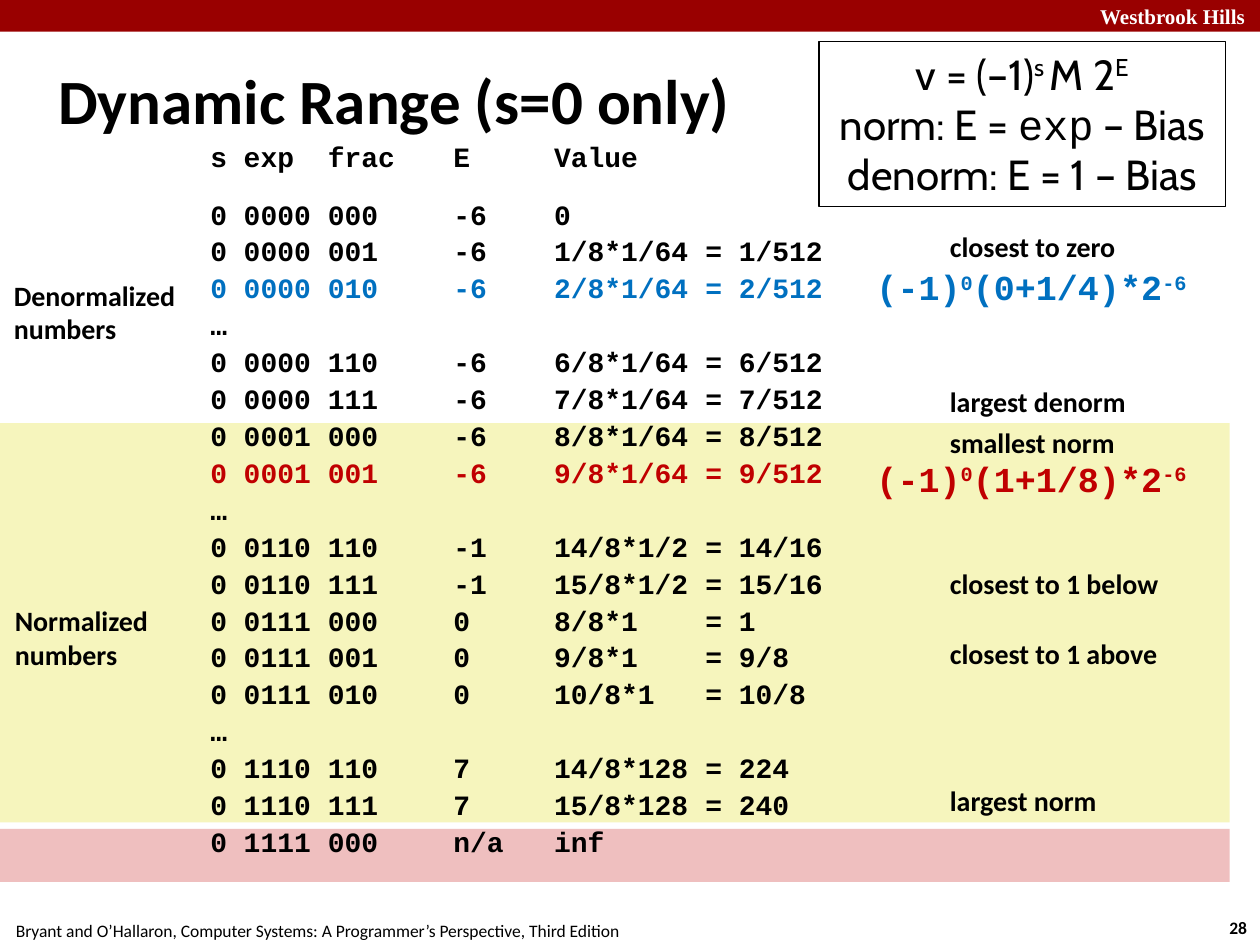
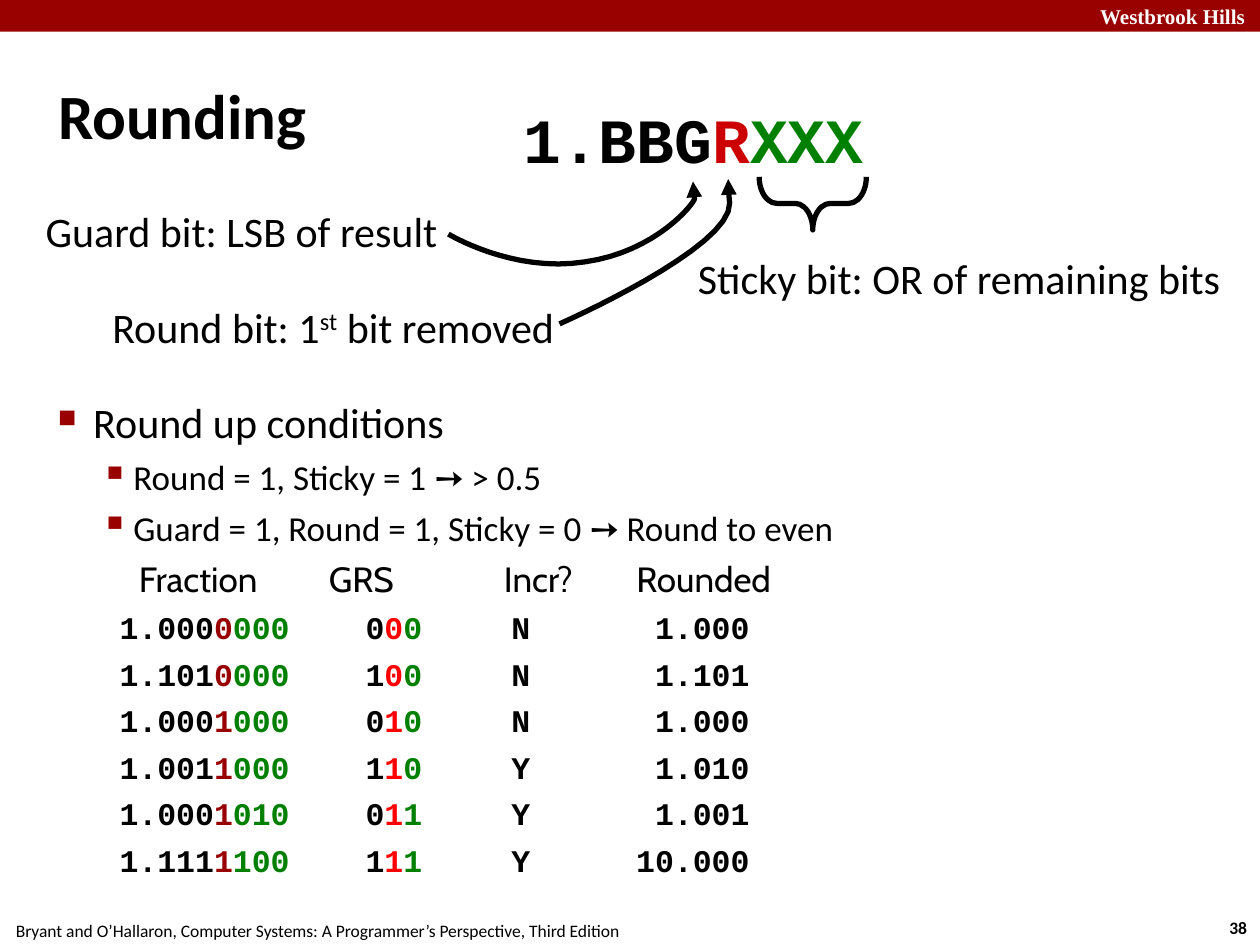
from lxml import etree
from pptx import Presentation
from pptx.dml.color import RGBColor
from pptx.enum.shapes import MSO_SHAPE as Preset
from pptx.enum.text import MSO_ANCHOR as Anchor, MSO_AUTO_SIZE as AutoSize, PP_ALIGN as Align
from pptx.oxml.ns import qn
from pptx.util import Cm, Pt

COLORS = {
    "black": "000000", "white": "FFFFFF", "band": "990000",
    "infinite": "EFBFBF", "normal": "F6F5BD",
    "blue": "0070C0", "crimson": "C00000",
    "round_title": "CC0000", "round_fraction": "980002",
    "round_bit": "FF0000", "sticky": "008000",
}
BODY, CODE, LIGHT, SERIF = "Calibri", "Courier New", "Cabin", "Times New Roman"
TIGHT = (0.1, 0.1)
FOOTER = ("Bryant and O’Hallaron, Computer Systems: "
          "A Programmer’s Perspective, Third Edition")

# Slide 1: exponent, fraction, E, product, result, color
FLOAT_ROWS = [
    ("0000", "000", "-6", "0", "", "black"),
    ("0000", "001", "-6", "1/8*1/64", "1/512", "black"),
    ("0000", "010", "-6", "2/8*1/64", "2/512", "blue"),
    None,
    ("0000", "110", "-6", "6/8*1/64", "6/512", "black"),
    ("0000", "111", "-6", "7/8*1/64", "7/512", "black"),
    ("0001", "000", "-6", "8/8*1/64", "8/512", "black"),
    ("0001", "001", "-6", "9/8*1/64", "9/512", "crimson"),
    None,
    ("0110", "110", "-1", "14/8*1/2", "14/16", "black"),
    ("0110", "111", "-1", "15/8*1/2", "15/16", "black"),
    ("0111", "000", "0", "8/8*1", "1", "black"),
    ("0111", "001", "0", "9/8*1", "9/8", "black"),
    ("0111", "010", "0", "10/8*1", "10/8", "black"),
    None,
    ("1110", "110", "7", "14/8*128", "224", "black"),
    ("1110", "111", "7", "15/8*128", "240", "black"),
    ("1111", "000", "n/a", "inf", "", "black"),
]
FLOAT_TABS = [(2.37, "l"), (4.9, "l"), (6.93, "l"), (9.98, "l")]
ROW_NOTES = [("closest to zero", 4.52), ("largest denorm", 7.65),
             ("smallest norm", 8.48), ("closest to 1 below", 11.33),
             ("closest to 1 above", 12.73), ("largest norm", 15.7)]

# Slide 2: fraction, guard-round-sticky bits, increment, rounded
ROUNDING_ROWS = [
    ("1.0000000", "000", "N", "1.000"),
    ("1.1010000", "100", "N", "1.101"),
    ("1.0001000", "010", "N", "1.000"),
    ("1.0011000", "110", "Y", "1.010"),
    ("1.0001010", "011", "Y", "1.001"),
    ("1.1111100", "111", "Y", "10.000"),
]
HEADING_TABS = [(1.63, "l"), (5.46, "l"), (8.99, "l"), (11.66, "l")]
ROUNDING_TABS = [(1.24, "l"), (6.2, "l"), (9.14, "l"), (13.94, "r")]


def rgb(name):
    return RGBColor.from_string(COLORS[name])


def style_run(run, font=BODY, size=16, color="black", bold=False, raised=0):
    run.font.name, run.font.size, run.font.bold = font, Pt(size), bold
    run.font.color.rgb = rgb(color)
    if raised:
        run._r.get_or_add_rPr().set("baseline", str(raised * 1000))


def write(paragraph, content, align=Align.LEFT, **style):
    """Content is a string, or a list of (text, style changes) pairs."""
    paragraph.alignment = align
    if isinstance(content, str):
        paragraph.text = content
        style_run(paragraph.runs[0], **style)
        return
    for text, changes in content:
        run = paragraph.add_run()
        run.text = text
        style_run(run, **{**style, **changes})


def next_paragraph(text_frame):
    first = text_frame.paragraphs[0]
    return text_frame.add_paragraph() if first.runs else first


def set_frame(text_frame, insets=(0.25, 0.13), wrap=False):
    text_frame.margin_left = text_frame.margin_right = Cm(insets[0])
    text_frame.margin_top = text_frame.margin_bottom = Cm(insets[1])
    text_frame.word_wrap = wrap
    text_frame.auto_size = AutoSize.NONE if wrap else AutoSize.SHAPE_TO_FIT_TEXT


def add_text(slide, box, lines=(), insets=(0.25, 0.13), wrap=False, **style):
    text_frame = slide.shapes.add_textbox(*map(Cm, box)).text_frame
    set_frame(text_frame, insets, wrap)
    for line in lines:
        write(next_paragraph(text_frame), line, **style)
    return text_frame


def add_box(slide, box, fill=None, preset=Preset.RECTANGLE, line_width=0):
    shape = slide.shapes.add_shape(preset, *map(Cm, box))
    style_outline(shape, line_width)
    if fill:
        shape.fill.solid()
        shape.fill.fore_color.rgb = rgb(fill)
    return shape


def style_outline(shape, line_width):
    shape.shadow.inherit = False
    shape.fill.background()
    if line_width:
        shape.line.color.rgb = rgb("black")
        shape.line.width = Pt(line_width)
    else:
        shape.line.fill.background()


def set_tabs(paragraph, stops):
    tab_list = etree.SubElement(paragraph._p.get_or_add_pPr(), qn("a:tabLst"))
    for position, side in stops:
        etree.SubElement(tab_list, qn("a:tab"), pos=str(Cm(position)), algn=side)


def set_bullet(paragraph, character, percent, left, hanging):
    properties = paragraph._p.get_or_add_pPr()
    properties.set("marL", str(Cm(left)))
    properties.set("indent", str(-Cm(hanging)))
    color = etree.SubElement(properties, qn("a:buClr"))
    etree.SubElement(color, qn("a:srgbClr"), val=COLORS["band"])
    etree.SubElement(properties, qn("a:buSzPct"), val=str(percent * 1000))
    etree.SubElement(properties, qn("a:buChar"), char=character)


def curve_points(start, curves, steps=16):
    """Points along joined cubic curves, each (control, control, end)."""
    points = [start]
    for control_1, control_2, end in curves:
        corners = (points[-1], control_1, control_2, end)
        for step in range(1, steps + 1):
            t = step / steps
            weights = ((1 - t) ** 3, 3 * t * (1 - t) ** 2, 3 * t * t * (1 - t), t ** 3)
            points.append(tuple(sum(w * corner[axis] for w, corner in zip(weights, corners))
                                for axis in (0, 1)))
    return points


def add_curved_arrow(slide, start, curves):
    points = [(Cm(x), Cm(y)) for x, y in curve_points(start, curves)]
    builder = slide.shapes.build_freeform(*points[0])
    builder.add_line_segments(points[1:], close=False)
    arrow = builder.convert_to_shape()
    style_outline(arrow, 3)
    etree.SubElement(arrow.line._get_or_add_ln(), qn("a:tailEnd"), type="triangle")


def start_slide(presentation, title, title_height, number):
    slide = presentation.slides.add_slide(presentation.slide_layouts[5])
    # Band and footer
    add_box(slide, (0, 0, 25.4, 0.64), "band")
    add_text(slide, (21.82, -0.05, 3.53, 0.76), ["Westbrook Hills"],
             align=Align.RIGHT, font=SERIF, size=12, color="white", bold=True)
    add_text(slide, (-0.05, 18.42, 12.9, 0.69), [FOOTER], align=Align.CENTER, size=10)
    add_text(slide, (24.49, 18.36, 0.94, 0.69), [number],
             align=Align.CENTER, size=10, bold=True)
    # Title
    shape = slide.shapes.title
    shape.left, shape.top, shape.width, shape.height = map(Cm, (1.07, 0.71, 23.29, title_height))
    set_frame(shape.text_frame, TIGHT, wrap=True)
    shape.text_frame.vertical_anchor = Anchor.MIDDLE
    write(shape.text_frame.paragraphs[0], title, size=36, bold=True)
    return slide


def add_float_listing(slide):
    text_frame = add_text(slide, (4.24, 2.74, 12.9, 15.44), insets=(0, 0), wrap=True)
    lines = [("s exp\tfrac\tE\tValue", "black")]
    for row in FLOAT_ROWS:
        if row is None:
            lines.append(("…", "black"))
            continue
        exponent, fraction, power, product, result, color = row
        line = f"0 {exponent}\t{fraction}\t{power}\t{product}"
        lines.append((line + (f"\t= {result}" if result else ""), color))
    for index, (line, color) in enumerate(lines):
        paragraph = next_paragraph(text_frame)
        write(paragraph, line, font=CODE, color=color, bold=True)
        paragraph.line_spacing = 1.1
        paragraph.space_before = Pt(12 if index == 1 else 0)
        set_tabs(paragraph, FLOAT_TABS)


def add_formula_box(slide):
    shape = add_box(slide, (16.51, 0.84, 8.2, 3.33), line_width=0.75)
    set_frame(shape.text_frame, wrap=True)
    shape.text_frame.vertical_anchor = Anchor.TOP
    raised = {"raised": 32}
    for line in (
        [("v = (–1)", {}), ("s ", raised), ("M 2", {}), ("E", raised)],
        [("norm: E = ", {}), ("exp", {"font": CODE}), (" – Bias", {})],
        "denorm: E = 1 – Bias",
    ):
        write(next_paragraph(shape.text_frame), line, Align.CENTER, font=LIGHT, size=24)


def build_dynamic_range(presentation):
    slide = start_slide(presentation, "Dynamic Range (s=0 only)", 2.57, "28")
    # Range bands and listing
    add_box(slide, (0, 16.71, 24.79, 1.07), "infinite")
    add_box(slide, (0, 8.53, 24.79, 8.05), "normal")
    add_float_listing(slide)
    # Labels on both sides
    for note, top in ROW_NOTES:
        add_text(slide, (19.05, top, 4.6, 0.89), [note], TIGHT, bold=True)
    add_text(slide, (0.18, 5.51, 3.94, 1.57), ["Denormalized", "numbers"], TIGHT, bold=True)
    add_text(slide, (0.2, 12.07, 3.28, 1.57), ["Normalized", "numbers"], TIGHT, bold=True)
    # Formulas
    add_formula_box(slide)
    raised = {"raised": 30}
    for mantissa, top, color in (("0+1/4", 5.23, "blue"), ("1+1/8", 9.09, "crimson")):
        formula = [("(-1)", {}), ("0", raised), (f"({mantissa})*2", {}), ("-6", raised)]
        add_text(slide, (17.42, top, 6.93, 1.12), [formula],
                 font=CODE, size=20, color=color, bold=True)


def add_rounding_body(slide):
    text_frame = add_text(slide, (1.07, 7.9, 23.29, 11.07), insets=TIGHT, wrap=True)
    # Conditions
    main, sub = ("■", 60, 0.71, 0.71), ("▪", 110, 1.52, 0.66)
    for line, size, gap, bullet in (
        ("Round up conditions", 24, 6, main),
        ("Round = 1, Sticky = 1 ➙ > 0.5", 20, 5, sub),
        ("Guard = 1, Round = 1, Sticky = 0 ➙ Round to even", 20, 5, sub),
    ):
        paragraph = next_paragraph(text_frame)
        write(paragraph, line, size=size)
        paragraph.space_before = Pt(gap)
        set_bullet(paragraph, *bullet)
    # Examples in tabbed columns
    paragraph = next_paragraph(text_frame)
    write(paragraph, "\tFraction\tGRS\tIncr?\tRounded", font=LIGHT, size=20)
    paragraph.space_before = Pt(5)
    set_tabs(paragraph, HEADING_TABS)
    sticky = {"color": "sticky"}
    for fraction, bits, increment, rounded in ROUNDING_ROWS:
        guard_bit, round_bit, sticky_bit = bits
        paragraph = next_paragraph(text_frame)
        write(paragraph, [
            ("\t" + fraction[:5], {}), (fraction[5], {"color": "round_fraction"}),
            (fraction[6:], sticky), ("\t" + guard_bit, {}),
            (round_bit, {"color": "round_bit"}), (sticky_bit, sticky),
            (f"\t{increment}\t{rounded}", {}),
        ], font=CODE, size=18, bold=True)
        paragraph.space_before = Pt(5)
        set_tabs(paragraph, ROUNDING_TABS)


def build_rounding(presentation):
    slide = start_slide(presentation, "Rounding", 3.18, "38")
    add_rounding_body(slide)
    # Bit pattern and its labels
    pattern = [("1.BBG", {}), ("R", {"color": "round_title"}), ("XXX", {"color": "sticky"})]
    add_text(slide, (10.41, 1.93, 7.14, 1.75), [pattern], TIGHT,
             align=Align.CENTER, font=CODE, size=36, bold=True)
    add_text(slide, (0.41, 4.04, 8.51, 1.24), ["Guard bit: LSB of result"], TIGHT,
             wrap=True, align=Align.RIGHT, size=24)
    round_label = [("Round bit: 1", {}), ("st", {"raised": 30}), (" bit removed", {})]
    add_text(slide, (1.85, 5.97, 9.42, 1.24), [round_label], TIGHT, align=Align.RIGHT, size=24)
    add_text(slide, (13.97, 5, 11.07, 1.24), ["Sticky bit: OR of remaining bits"], TIGHT, size=24)
    # Brace and arrows
    brace = add_box(slide, (15.85, 3.02, 1.07, 2.16), preset=Preset.LEFT_BRACE, line_width=3)
    brace.adjustments[0] = 0.33
    brace.rotation = 270
    add_curved_arrow(slide, (11.28, 6.53), [
        ((11.28, 6.53), (14.76, 5), (14.71, 4.09)),
        ((14.68, 3.81), (14.68, 3.68), (14.68, 3.61))])
    add_curved_arrow(slide, (9.04, 4.72), [
        ((9.04, 4.72), (10.34, 5.51), (11.79, 5.28)),
        ((13.23, 5.08), (14, 4.09), (14, 4.01)),
        ((14, 3.96), (13.97, 3.66), (13.97, 3.66))])


def main():
    presentation = Presentation()
    presentation.slide_width, presentation.slide_height = Cm(25.4), Cm(19.05)
    build_dynamic_range(presentation)
    build_rounding(presentation)
    presentation.save("out.pptx")


if __name__ == "__main__":
    main()
